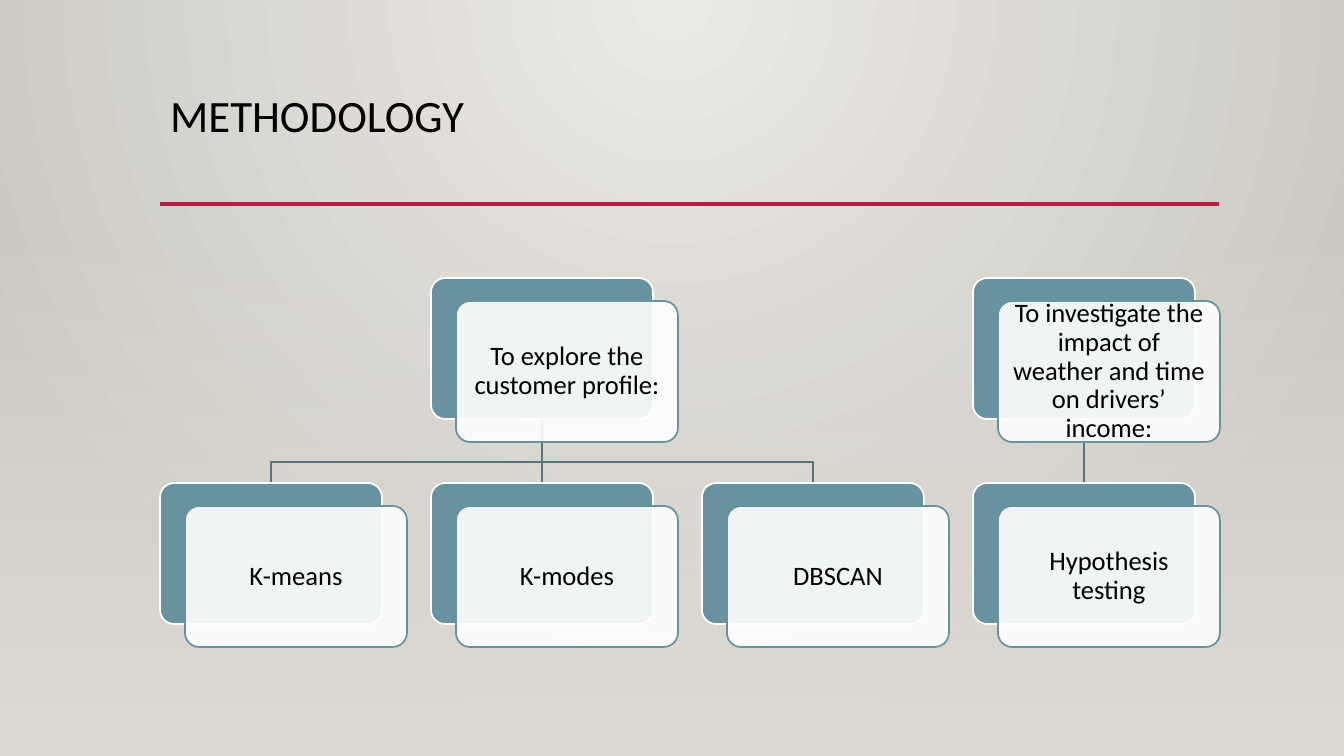
from lxml.etree import SubElement
from pptx import Presentation
from pptx.dml.color import RGBColor as Rgb
from pptx.enum.shapes import MSO_CONNECTOR as Connector, MSO_SHAPE as Preset
from pptx.enum.text import MSO_ANCHOR as Anchor, PP_ALIGN as Align
from pptx.oxml import parse_xml
from pptx.oxml.ns import nsdecls, qn
from pptx.util import Pt

EMU_PER_PX = 914400 / 100.8
COLORS = {
    "glow": "ECEAE7", "edge": "CAC7C1", "floor": "DFDBD5", "rule": "B71E42",
    "card": "6892A0", "link": "537580", "white": "FFFFFF", "text": "000000",
}
COLUMN_LEFT, COLUMN_PITCH = 160, 271
GOAL_TOP, METHOD_TOP = 278, 483
CARD_WIDTH, CARD_HEIGHT = 222, 141
FRONT_SHIFT = (25, 23)
BEND_TOP = 462
RULE_TOP, RULE_RIGHT = 204, 1219
BRANCHES = [
    (1, "To explore the customer profile:",
     [(0, "K-means"), (1, "K-modes"), (2, "DBSCAN")]),
    (3, "To investigate the impact of weather and time on drivers’ income:",
     [(3, "Hypothesis testing")]),
]


def px(length):
    """Turn a pixel length into EMU."""
    return round(length * EMU_PER_PX)


def color(name):
    """Look up a named colour."""
    return Rgb.from_string(COLORS[name])


def apply(target, settings):
    """Set each attribute of the target from a dict."""
    for attribute, value in settings.items():
        setattr(target, attribute, value)


def set_line(line, name, width):
    """Give a line its colour and width in points."""
    line.color.rgb = color(name)
    line.width = Pt(width)


def set_gradient(owner, stops, direction):
    """Replace the first gradient in the owner with the given stops."""
    marks = "".join(
        f'<a:gs pos="{position * 1000}"><a:srgbClr val="{COLORS[name]}">'
        f'<a:alpha val="{alpha * 1000}"/></a:srgbClr></a:gs>'
        for position, name, alpha in stops)
    gradient = owner.find(".//" + qn("a:gradFill"))
    gradient.getparent().replace(gradient, parse_xml(
        f'<a:gradFill {nsdecls("a")} rotWithShape="1">'
        f"<a:gsLst>{marks}</a:gsLst>{direction}</a:gradFill>"))


def add_backdrop(slide):
    """Paint the radial background and the fading floor."""
    slide.background.fill.gradient()
    set_gradient(
        slide.element.find(".//" + qn("p:bg")),
        [(0, "glow", 100), (100, "edge", 100)],
        '<a:path path="circle"><a:fillToRect l="43000" t="0" r="43000" b="100000"/></a:path>')
    floor = slide.shapes.add_shape(Preset.RECTANGLE, 0, px(223), px(1344), px(533))
    floor.shadow.inherit = False
    floor.line.fill.background()
    floor.fill.gradient()
    set_gradient(floor.element, [(0, "floor", 0), (100, "floor", 100)],
                 '<a:lin ang="5400000" scaled="0"/>')


def set_text(frame, wording, size, align, frame_format):
    """Write one formatted paragraph into a text frame."""
    apply(frame, {"word_wrap": True, **frame_format})
    paragraph = frame.paragraphs[0]
    paragraph.text = wording
    apply(paragraph, {"alignment": align, "line_spacing": 0.9})
    font = paragraph.runs[0].font
    apply(font, {"name": "Calibri", "size": Pt(size)})
    font.color.rgb = color("text")


def add_title(slide, wording):
    """Place and format the slide title."""
    title = slide.shapes.title
    apply(title, {"left": px(160), "top": px(89), "width": px(1058), "height": px(116)})
    set_text(title.text_frame, wording, 32, Align.LEFT, {"vertical_anchor": Anchor.TOP})


def add_straight(slide, start, end, name, width):
    """Draw a straight connector without shadow."""
    connector = slide.shapes.add_connector(
        Connector.STRAIGHT, *(px(value) for value in (*start, *end)))
    set_line(connector.line, name, width)
    SubElement(connector.element.spPr, qn("a:effectLst"))
    return connector


def add_bent(slide, start, end):
    """Draw a link that bends between the two rows of cards."""
    builder = slide.shapes.build_freeform(*start, scale=EMU_PER_PX)
    builder.add_line_segments([(start[0], BEND_TOP), (end[0], BEND_TOP), end], close=False)
    bend = builder.convert_to_shape()
    bend.shadow.inherit = False
    bend.fill.background()
    set_line(bend.line, "link", 1.25)


def add_panel(slide, left, top, fill, outline):
    """Draw one rounded panel of a card."""
    panel = slide.shapes.add_shape(
        Preset.ROUNDED_RECTANGLE, *(px(value) for value in (left, top, CARD_WIDTH, CARD_HEIGHT)))
    panel.adjustments[0] = 0.1
    panel.shadow.inherit = False
    panel.fill.solid()
    panel.fill.fore_color.rgb = color(fill)
    set_line(panel.line, outline, 1.25)
    return panel


def add_card(slide, column, top, wording):
    """Draw a card of two panels and return the back one."""
    left = COLUMN_LEFT + column * COLUMN_PITCH
    back = add_panel(slide, left, top, "card", "white")
    front = add_panel(slide, left + FRONT_SHIFT[0], top + FRONT_SHIFT[1], "white", "card")
    tint = front.element.spPr.find(qn("a:solidFill"))[0]
    SubElement(tint, qn("a:alpha"), val="90000")
    margins = {f"margin_{side}": px(8) for side in ("left", "top", "right", "bottom")}
    set_text(front.text_frame, wording, 19, Align.CENTER,
             {"vertical_anchor": Anchor.MIDDLE, **margins})
    return back


def add_branch(slide, goal_column, goal, methods):
    """Draw a goal card, its method cards and the links behind them."""
    def middle(column):
        """Find the middle of a column's back panel."""
        return COLUMN_LEFT + column * COLUMN_PITCH + CARD_WIDTH // 2

    start = (middle(goal_column), GOAL_TOP + CARD_HEIGHT)
    straight_links = {}
    for column, _ in methods:
        end = (middle(column), METHOD_TOP)
        if column == goal_column:
            straight_links[column] = add_straight(slide, start, end, "link", 1.25)
        else:
            add_bent(slide, start, end)
    goal_card = add_card(slide, goal_column, GOAL_TOP, goal)
    for column, method in methods:
        method_card = add_card(slide, column, METHOD_TOP, method)
        if column in straight_links:
            straight_links[column].begin_connect(goal_card, 2)
            straight_links[column].end_connect(method_card, 0)


def main():
    """Build the methodology slide."""
    deck = Presentation()
    apply(deck, {"slide_width": px(1344), "slide_height": px(756)})
    slide = deck.slides.add_slide(deck.slide_layouts[5])
    add_backdrop(slide)
    add_title(slide, "METHODOLOGY")
    add_straight(slide, (COLUMN_LEFT, RULE_TOP), (RULE_RIGHT, RULE_TOP), "rule", 2.5)
    for branch in BRANCHES:
        add_branch(slide, *branch)
    deck.save("out.pptx")


if __name__ == "__main__":
    main()
